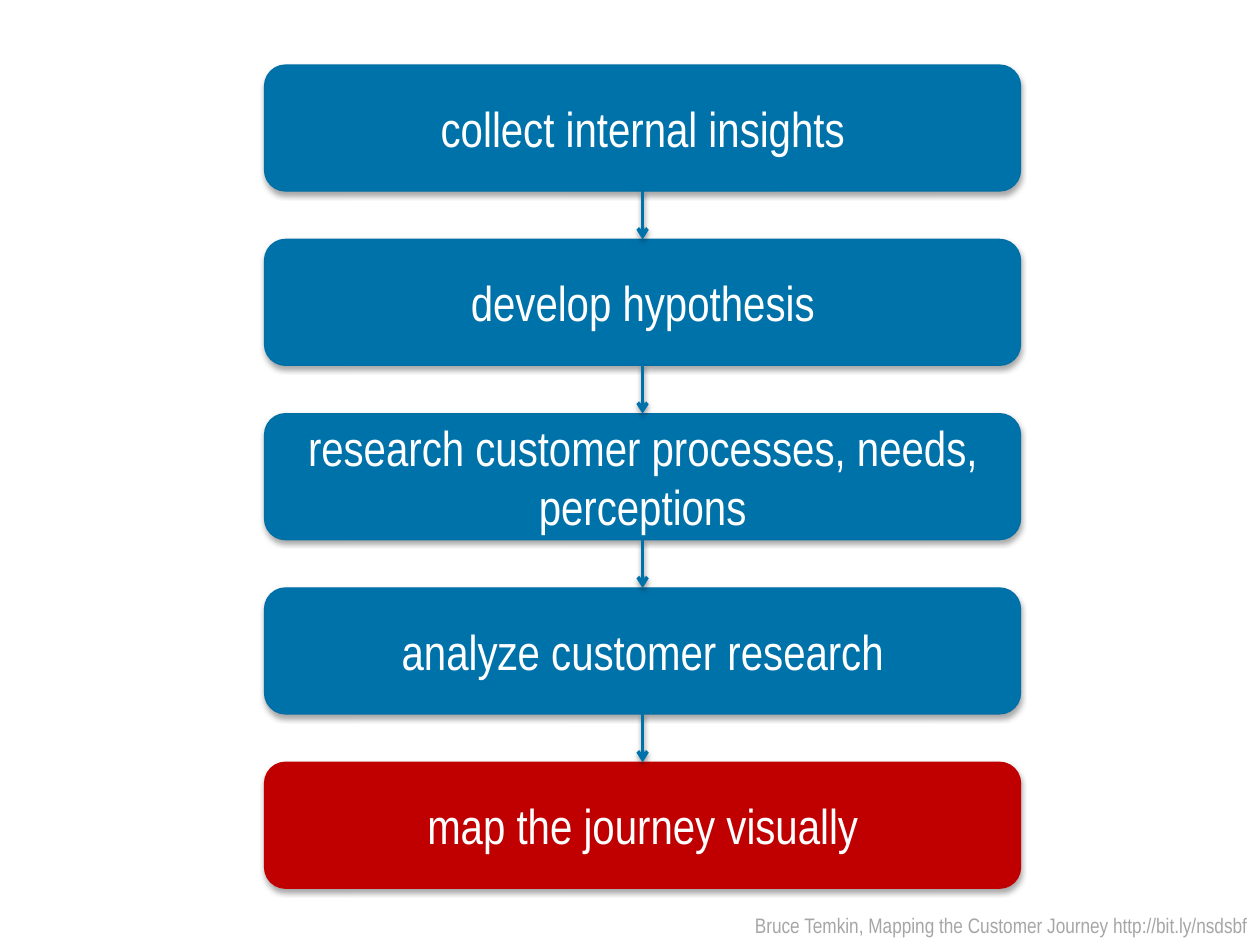
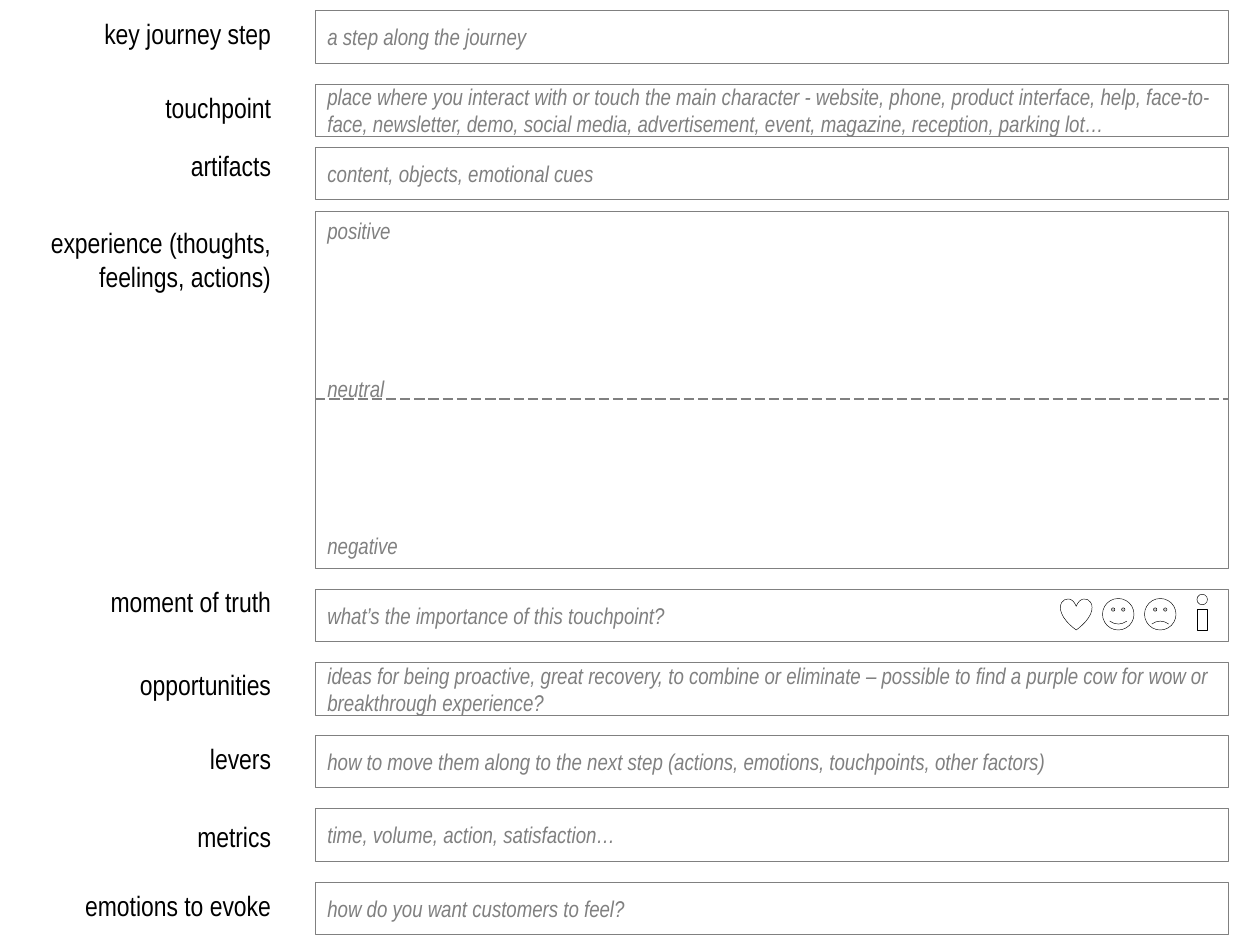
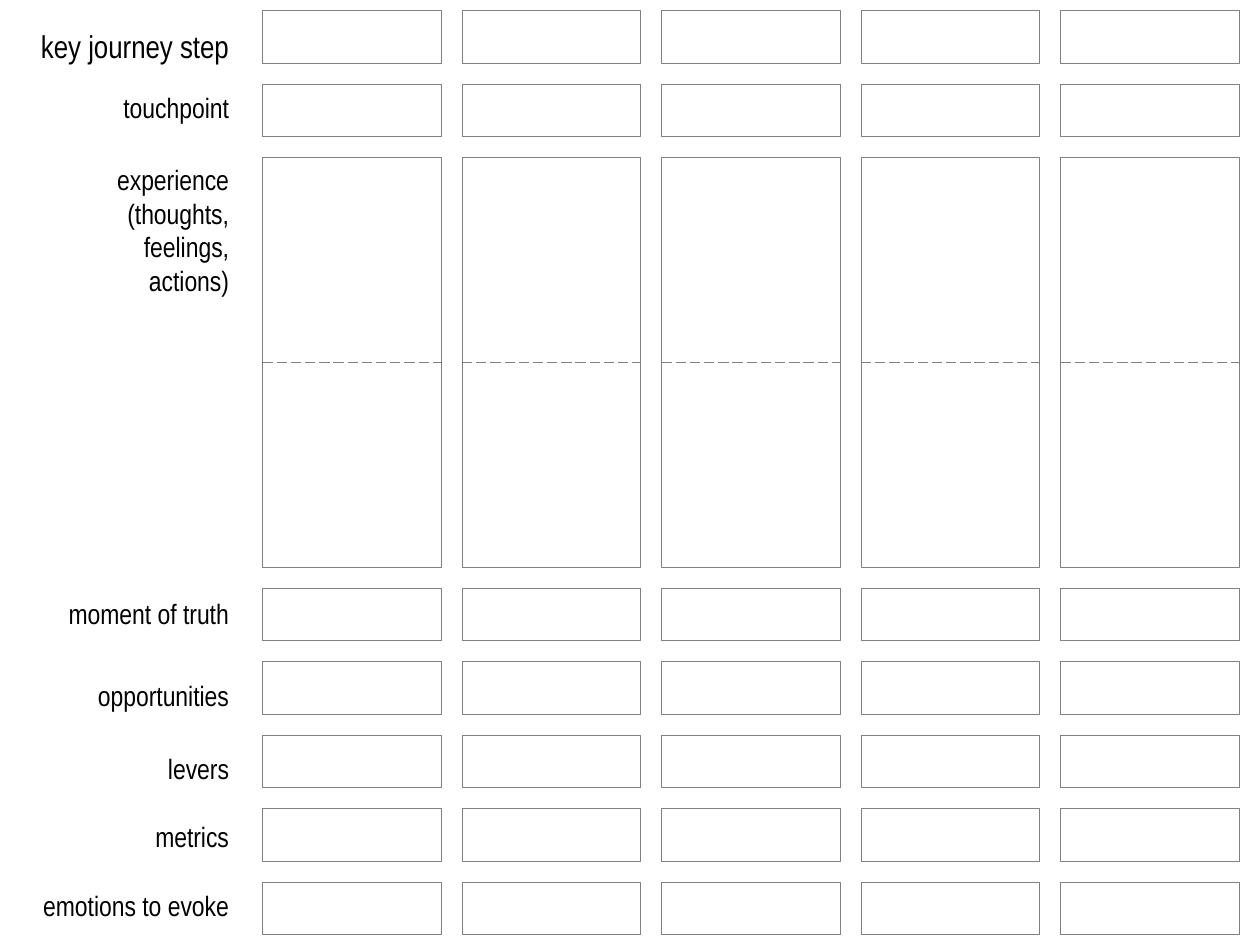
from lxml import etree
from pptx import Presentation
from pptx import util as u
from pptx.dml.color import RGBColor
from pptx.enum import dml, shapes, text
from pptx.oxml import parse_xml
from pptx.oxml.ns import nsdecls, qn

# Shared look
FONT = "Arial Narrow"
WHITE = RGBColor(0xFF, 0xFF, 0xFF)
BLACK = RGBColor(0, 0, 0)
GRAY = RGBColor(0x80, 0x80, 0x80)
LIGHT_GRAY = RGBColor(0xA6, 0xA6, 0xA6)
BLUE = RGBColor(0x00, 0x72, 0xAA)
BLUE_EDGE = RGBColor(0x00, 0x6F, 0xA6)
RED = RGBColor(0xC0, 0, 0)

STEP_TEXT = {"size": 28, "color": WHITE}
HINT_TEXT = {"size": 13, "color": GRAY, "italic": True}
LABEL_TEXT = {"size": 16, "color": BLACK}
BIG_LABEL_TEXT = {"size": 18, "color": BLACK}
CREDIT_TEXT = {"size": 12, "color": LIGHT_GRAY}

# The grid has 120 columns and 90 rows, one twelfth of an inch each
UNIT = u.Inches(1) / 12
COLUMNS, ROWS = 120, 90
ROW_HEIGHT = 5
LABEL_HEIGHT = 4.4

SHAPE = shapes.MSO_SHAPE
LEFT, CENTER, RIGHT = (text.PP_ALIGN.LEFT, text.PP_ALIGN.CENTER,
                       text.PP_ALIGN.RIGHT)

# Slide 1: steps from top to bottom
STEPS = ["collect internal insights", "develop hypothesis",
         "research customer processes, needs, perceptions",
         "analyze customer research", "map the journey visually"]

# Slide 2: label, label row, box row, hint
GUIDE_ROWS = [
    ("key journey step", 1, 1, "a step along the journey"),
    ("touchpoint", 8, 8,
     "place where you interact with or touch the main character - website, "
     "phone, product interface, help, face-to-face, newsletter, demo, social "
     "media, advertisement, event, magazine, reception, parking lot…"),
    ("artifacts", 13.6, 14, "content, objects, emotional cues"),
    ("moment of truth", 55.1, 56.1,
     "what’s the importance of this touchpoint?"),
    ("opportunities", 63, 63.1,
     "ideas for being proactive, great recovery, to combine or eliminate – "
     "possible to find a purple cow for wow or breakthrough experience?"),
    ("levers", 70, 70,
     "how to move them along to the next step (actions, emotions, "
     "touchpoints, other factors)"),
    ("metrics", 77.5, 77, "time, volume, action, satisfaction…"),
    ("emotions to evoke", 84, 84, "how do you want customers to feel?"),
]
EXPERIENCE = "experience (thoughts, feelings, actions)"
MOODS = [("positive", 20.1), ("neutral", 35.1), ("negative", 50.1)]

# Slide 3: label, label row, format
MAP_LABELS = [
    ("key journey step", 2, BIG_LABEL_TEXT), ("touchpoint", 8, LABEL_TEXT),
    ("moment of truth", 56.2, LABEL_TEXT), ("opportunities", 64, LABEL_TEXT),
    ("levers", 71, LABEL_TEXT), ("metrics", 77.5, LABEL_TEXT),
    ("emotions to evoke", 84, LABEL_TEXT),
]
MAP_BOX_ROWS = [1, 8, 56, 63, 70, 77, 84]


def grid(*cells):
    return [u.Emu(round(cell * UNIT)) for cell in cells]


def write(shape, words, formats, alignment):
    shape.text_frame.word_wrap = True
    paragraph = shape.text_frame.paragraphs[0]
    paragraph.alignment = alignment
    run = paragraph.add_run()
    run.text = words
    run.font.name = FONT
    for name, value in formats.items():
        if name == "color":
            run.font.color.rgb = value
        elif name == "size":
            run.font.size = u.Pt(value)
        else:
            setattr(run.font, name, value)


def add_box(parent, kind, cells, edge=GRAY, width=0.25, fill=None):
    """Draw a preset shape without shadow; no fill means see-through."""
    shape = parent.add_shape(kind, *grid(*cells))
    shape.shadow.inherit = False
    shape.line.color.rgb = edge
    shape.line.width = u.Pt(width)
    if fill is None:
        shape.fill.background()
    else:
        shape.fill.solid()
        shape.fill.fore_color.rgb = fill
    shape.text_frame.vertical_anchor = text.MSO_ANCHOR.MIDDLE
    return shape


def add_label(slide, words, cells, formats=LABEL_TEXT, alignment=RIGHT):
    label = slide.shapes.add_textbox(*grid(*cells))
    write(label, words, formats, alignment)
    label.text_frame.auto_size = text.MSO_AUTO_SIZE.SHAPE_TO_FIT_TEXT


def add_line(slide, cells, color, width):
    line = slide.shapes.add_connector(shapes.MSO_CONNECTOR.STRAIGHT,
                                      *grid(*cells))
    line.line.color.rgb = color
    line.line.width = u.Pt(width)
    etree.SubElement(line._element.spPr, qn("a:effectLst"))
    return line


def add_dashed_line(slide, left, right, row):
    line = add_line(slide, (left, row, right, row), GRAY, 0.75)
    line.line.dash_style = dml.MSO_LINE.LONG_DASH
    return line


def add_arrow(slide, upper, lower):
    arrow = add_line(slide, (0, 0, 0, 0), BLUE, 2)
    arrow.begin_connect(upper, 2)
    arrow.end_connect(lower, 0)
    etree.SubElement(arrow.line._get_or_add_ln(), qn("a:tailEnd"),
                     type="arrow")
    cast_shadow(arrow, 38, 1.6)


def cast_shadow(shape, opacity, distance):
    effects = shape._element.spPr.find(qn("a:effectLst"))
    effects.append(parse_xml(
        f'<a:outerShdw {nsdecls("a")} blurRad="{u.Pt(3.1)}" '
        f'dist="{u.Pt(distance)}" dir="5400000" rotWithShape="0">'
        f'<a:srgbClr val="000000"><a:alpha val="{opacity * 1000}"/>'
        '</a:srgbClr></a:outerShdw>'))


def add_importance_icons(slide):
    def icon(parent, kind, *cells):
        return add_box(parent, kind, cells, edge=BLACK, fill=WHITE)

    icon(slide.shapes, SHAPE.HEART, 101, 57, 3, 3)
    icon(slide.shapes, SHAPE.SMILEY_FACE, 105, 57, 3, 3)
    sad_face = icon(slide.shapes, SHAPE.SMILEY_FACE, 109, 57, 3, 3)
    sad_face.adjustments[0] = -0.047
    person = slide.shapes.add_group_shape().shapes
    icon(person, SHAPE.OVAL, 114, 56.6, 1, 1)
    icon(person, SHAPE.RECTANGLE, 114, 58, 1, 2)


def build_process(slide):
    add_label(slide, "Bruce Temkin, Mapping the Customer Journey "
              "http://bit.ly/nsdsbf", (0, 86.3, COLUMNS, 3.4), CREDIT_TEXT)
    boxes = []
    for index, step in enumerate(STEPS):
        last = index == len(STEPS) - 1
        box = add_box(slide.shapes, SHAPE.ROUNDED_RECTANGLE,
                      (25.2, 6.2 + 16.6 * index, 72, 12),
                      edge=RED if last else BLUE_EDGE, width=0.75,
                      fill=RED if last else BLUE)
        cast_shadow(box, 35, 1.8)
        write(box, step, STEP_TEXT, CENTER)
        boxes.append(box)
    for upper, lower in zip(boxes, boxes[1:]):
        add_arrow(slide, upper, lower)


def build_guide(slide):
    left, width = 30, 87
    label_left, label_width = 2, 25
    for label, label_row, box_row, hint in GUIDE_ROWS:
        add_label(slide, label,
                  (label_left, label_row, label_width, LABEL_HEIGHT))
        box = add_box(slide.shapes, SHAPE.RECTANGLE,
                      (left, box_row, width, ROW_HEIGHT))
        write(box, hint, HINT_TEXT, LEFT)

    # Experience scale
    add_label(slide, EXPERIENCE, (label_left, 20.9, label_width, 7.7))
    add_box(slide.shapes, SHAPE.RECTANGLE, (left, 20.1, width, 34))
    add_dashed_line(slide, left, left + width, 38)
    for mood, row in MOODS:
        add_label(slide, mood, (left, row, 65, 3.8), HINT_TEXT, LEFT)
    add_importance_icons(slide)


def build_map(slide):
    label_right = 23
    for label, row, formats in MAP_LABELS:
        add_label(slide, label, (0, row, label_right, LABEL_HEIGHT), formats)
    add_label(slide, EXPERIENCE, (label_right - 15, 14.9, 15, 14.2))

    # Five empty journey steps
    width = 17
    for left in range(25, COLUMNS, width + 2):
        for row in MAP_BOX_ROWS:
            add_box(slide.shapes, SHAPE.RECTANGLE,
                    (left, row, width, ROW_HEIGHT))
        experience = add_box(slide.shapes, SHAPE.RECTANGLE,
                             (left, 15, width, 39))
        neutral = add_dashed_line(slide, left, left + width, 34.5)
        neutral.begin_connect(experience, 1)
        neutral.end_connect(experience, 3)


def main():
    presentation = Presentation()
    presentation.slide_width, presentation.slide_height = grid(COLUMNS, ROWS)
    blank = presentation.slide_layouts[6]
    for build in (build_process, build_guide, build_map):
        build(presentation.slides.add_slide(blank))
    presentation.save("out.pptx")


if __name__ == "__main__":
    main()
